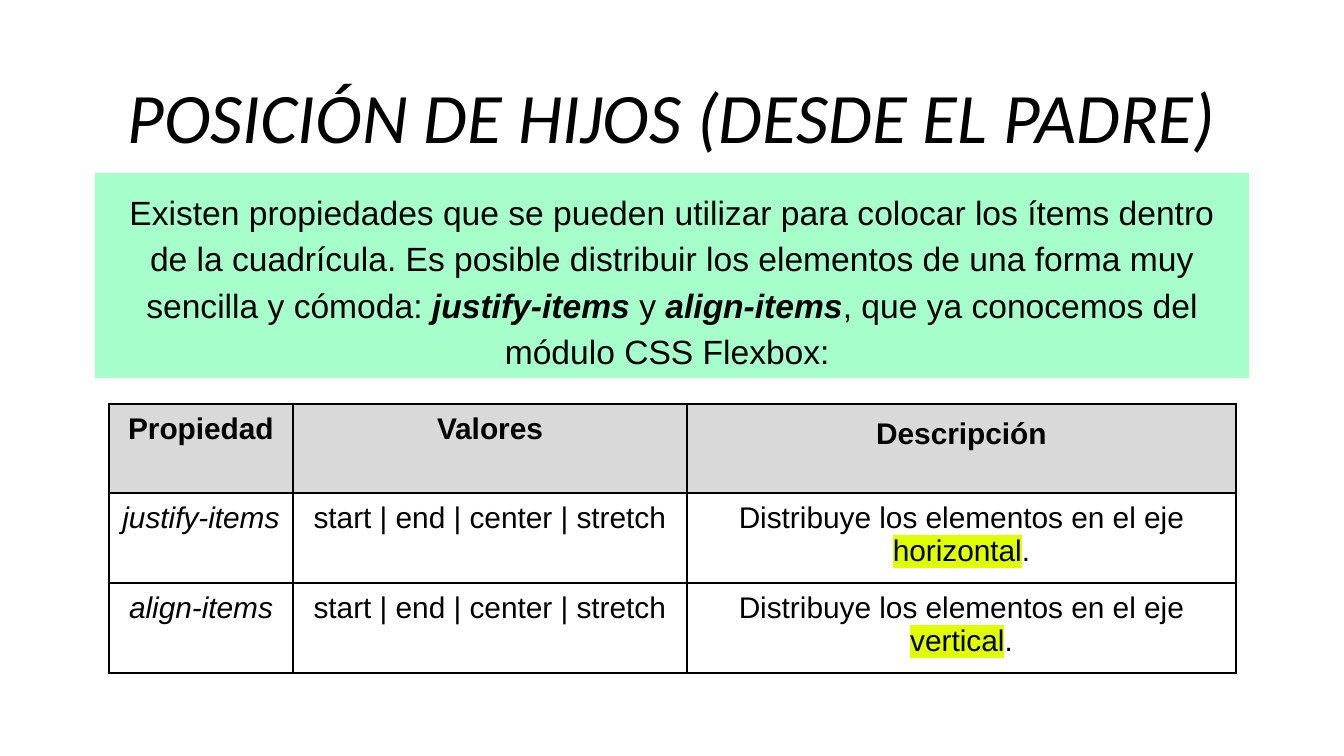
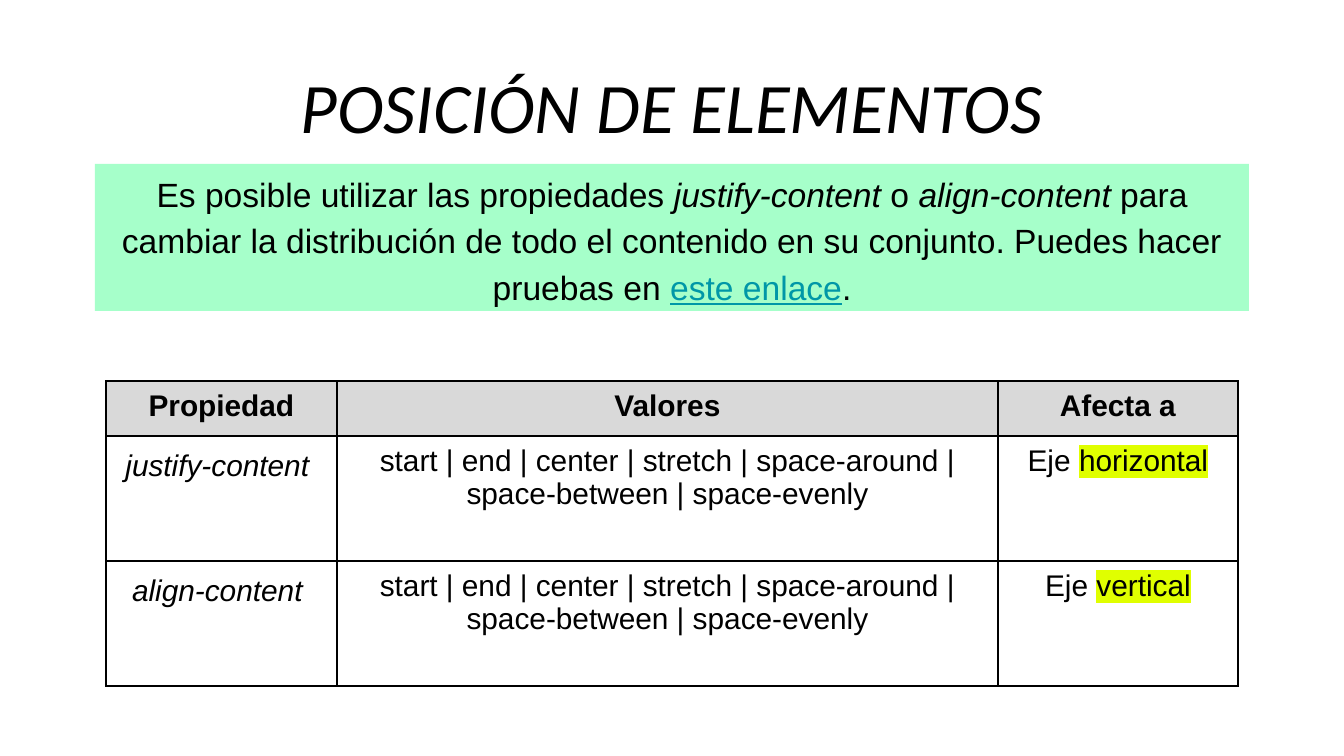
from lxml.etree import SubElement
from pptx import Presentation
from pptx.dml.color import RGBColor
from pptx.enum.shapes import MSO_SHAPE as Shape
from pptx.enum.text import MSO_ANCHOR as Anchor, PP_ALIGN as Align
from pptx.oxml.ns import qn
from pptx.util import Pt

PX = 914400 / 134.4
BLACK, MINT, GREY = "000000", "A6FFCA", "D9D9D9"
LIME, TEAL = "E0FF00", "0097A7"
LOOSE = 1.15
BAND_LEFT, BAND_WIDTH = 95, 1154
TITLE_HEIGHT = 157


def px(length):
    return round(length * PX)


def color(hex_string):
    return RGBColor.from_string(hex_string)


# Text
def add_run(paragraph, text, style=""):
    """Style letters: b bold, i italic, h highlighted, u link-coloured underline."""
    run = paragraph.add_run()
    run.text = text
    if "b" in style:
        run.font.bold = True
    if "i" in style:
        run.font.italic = True
    if "u" in style:
        run.font.underline = True
        run.font.color.rgb = color(TEAL)
    if "h" in style:
        highlight = SubElement(run.font._element, qn("a:highlight"))
        SubElement(highlight, qn("a:srgbClr"), val=LIME)


def write(text_frame, parts, size, name="Arial", bold=False, italic=False, spacing=1.0):
    text_frame.word_wrap = True
    paragraph = text_frame.paragraphs[0]
    paragraph.alignment = Align.CENTER
    paragraph.line_spacing = spacing
    font = paragraph.font
    font.size, font.name, font.bold, font.italic = Pt(size), name, bold, italic
    font.color.rgb = color(BLACK)
    for part in [parts] if isinstance(parts, str) else parts:
        add_run(paragraph, *([part] if isinstance(part, str) else part))


def set_margins(target, margin):
    target.margin_left = target.margin_right = px(margin)
    target.margin_top = target.margin_bottom = px(margin)


# Title
def add_title(slide, top, text):
    box = slide.shapes.add_textbox(px(BAND_LEFT), px(top), px(BAND_WIDTH), px(TITLE_HEIGHT))
    set_margins(box.text_frame, 13)
    write(box.text_frame, text, 38, "Calibri", italic=True, spacing=LOOSE)


# Green explanation band
def add_band(slide, top, height, parts, anchor):
    band = slide.shapes.add_shape(
        Shape.RECTANGLE, px(BAND_LEFT), px(top), px(BAND_WIDTH), px(height))
    band.shadow.inherit = False
    band.fill.solid()
    band.fill.fore_color.rgb = color(MINT)
    band.line.fill.background()
    band.text_frame.vertical_anchor = anchor
    set_margins(band.text_frame, 13)
    write(band.text_frame, parts, 18, spacing=LOOSE)


# Property table
def add_borders(cell):
    properties = cell._tc.get_or_add_tcPr()
    for side in ("lnL", "lnR", "lnT", "lnB"):
        line = SubElement(properties, qn(f"a:{side}"), w=str(Pt(1)))
        fill = SubElement(line, qn("a:solidFill"))
        SubElement(fill, qn("a:srgbClr"), val=BLACK)


def add_property_table(slide, left, top, widths, heights, rows, loose_cells):
    table = slide.shapes.add_table(
        len(rows), len(widths), px(left), px(top), px(sum(widths)), px(sum(heights))).table
    table.first_row = table.horz_banding = False
    for column, width in zip(table.columns, widths):
        column.width = px(width)
    for row, height in zip(table.rows, heights):
        row.height = px(height)
    for row_index, row in enumerate(rows):
        for column_index, parts in enumerate(row):
            cell = table.cell(row_index, column_index)
            is_header = row_index == 0
            set_margins(cell, 9)
            add_borders(cell)
            if is_header:
                cell.fill.solid()
                cell.fill.fore_color.rgb = color(GREY)
            else:
                cell.fill.background()
            is_loose = (row_index, column_index) in loose_cells
            write(cell.text_frame, parts, 16, bold=is_header,
                  italic=not is_header and column_index == 0,
                  spacing=LOOSE if is_loose else 1.0)


def build_children_slide(slide):
    add_title(slide, 47, "POSICIÓN DE HIJOS (DESDE EL PADRE)")
    add_band(slide, 173, 205, [
        "Existen propiedades que se pueden utilizar para colocar los ítems dentro de la "
        "cuadrícula. Es posible distribuir los elementos de una forma muy sencilla y cómoda: ",
        ("justify-items", "bi"), " y ", ("align-items", "bi"),
        ", que ya conocemos del módulo CSS Flexbox: "], Anchor.TOP)
    values = "start | end | center | stretch"
    effect = "Distribuye los elementos en el eje "
    add_property_table(slide, 109, 404, [184, 394, 549], [89, 90, 90], [
        ["Propiedad", "Valores", "Descripción"],
        ["justify-items", values, [effect, ("horizontal", "h"), "."]],
        ["align-items", values, [effect, ("vertical", "h"), "."]],
    ], {(0, 2)})


def build_elements_slide(slide):
    add_title(slide, 37, "POSICIÓN DE ELEMENTOS")
    values = "start | end | center | stretch | space-around | space-between | space-evenly"
    add_property_table(slide, 106, 381, [231, 661, 240], [55, 125, 125], [
        ["Propiedad", "Valores", "Afecta a"],
        ["justify-content ", values, ["Eje ", ("horizontal", "h")]],
        ["align-content ", values, ["Eje ", ("vertical", "h")]],
    ], {(1, 0), (2, 0)})
    add_band(slide, 164, 147, [
        "Es posible utilizar las propiedades ", ("justify-content", "i"), " o ",
        ("align-content", "i"),
        " para cambiar la distribución de todo el contenido en su conjunto. "
        "Puedes hacer pruebas en ", ("este enlace", "u"), "."], Anchor.MIDDLE)


def main():
    presentation = Presentation()
    presentation.slide_width, presentation.slide_height = px(1344), px(756)
    for build in (build_children_slide, build_elements_slide):
        build(presentation.slides.add_slide(presentation.slide_layouts[6]))
    presentation.save("out.pptx")


if __name__ == "__main__":
    main()
